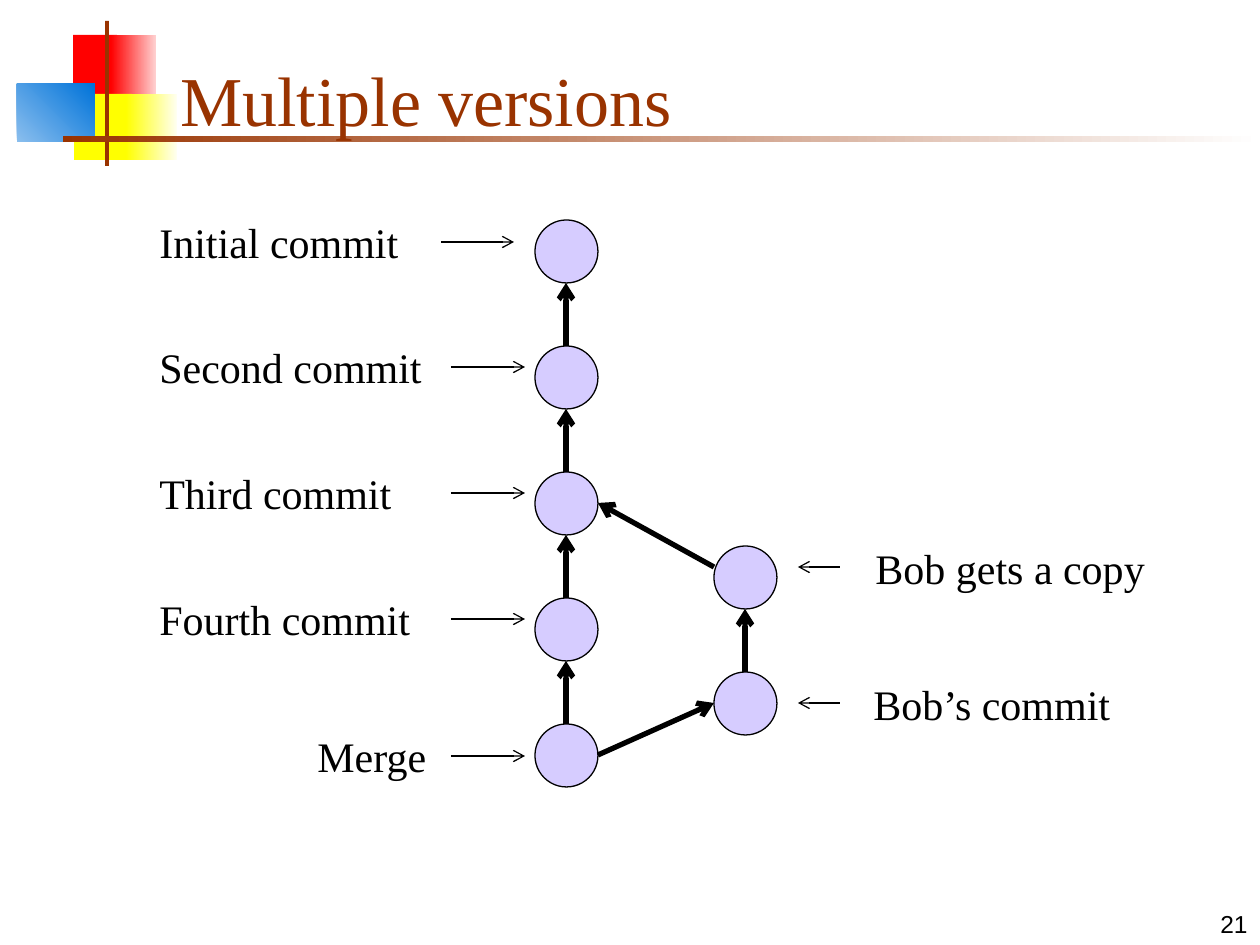
from dataclasses import dataclass
from itertools import pairwise

from lxml.etree import SubElement
from pptx import Presentation
from pptx.dml.color import RGBColor
from pptx.enum.shapes import MSO_CONNECTOR, MSO_SHAPE
from pptx.enum.text import MSO_ANCHOR, MSO_AUTO_SIZE, PP_ALIGN
from pptx.oxml.ns import qn
from pptx.slide import Slide
from pptx.util import Emu, Pt

EMU_PER_PX = 914400 / 126
CIRCLE = 63
PITCH = 126
MAIN_X, BOB_X = 535, 714
MAIN_TOP, BOB_TOP = 220, 546

COLORS = {
    "red": "FF0000", "pale_red": "FFD1D1",
    "yellow": "FFFF00", "pale_yellow": "FFFFF0",
    "light_blue": "8BBFEE", "blue": "0073D9",
    "brown": "993300", "white": "FFFFFF",
    "commit": "D6CCFF", "ink": "000000",
}
TITLE = {"name": "Times New Roman", "size": Pt(40)}
LABEL = {"name": "Times New Roman", "size": Pt(24)}
NUMBER = {"name": "Arial", "size": Pt(14)}
FIXED = {"word_wrap": True, "vertical_anchor": MSO_ANCHOR.BOTTOM}
GROWING = {"word_wrap": True, "auto_size": MSO_AUTO_SIZE.SHAPE_TO_FIT_TEXT}
UNWRAPPED = {**GROWING, "word_wrap": False}


@dataclass(frozen=True)
class Band:
    left: int
    top: int
    width: int
    height: int
    color: str
    fade_to: str = ""
    angle: int = 0


@dataclass(frozen=True)
class Commit:
    left: int
    top: int

    @property
    def center_x(self) -> int:
        return self.left + CIRCLE // 2

    @property
    def middle_y(self) -> int:
        return self.top + CIRCLE // 2

    @property
    def right(self) -> int:
        return self.left + CIRCLE

    @property
    def bottom(self) -> int:
        return self.top + CIRCLE


@dataclass(frozen=True)
class Caption:
    text: str
    left: int
    top: int
    width: int
    pointer_start: int
    pointer_end: int
    pointer_y: int
    frame: dict


BANDS = [
    Band(73, 35, 44, 66, "red"),
    Band(111, 35, 45, 66, "red", "pale_red"),
    Band(74, 94, 58, 66, "yellow"),
    Band(126, 94, 51, 66, "yellow", "pale_yellow"),
    Band(17, 84, 78, 58, "light_blue", "blue", 45),
    Band(105, 21, 4, 145, "brown"),
    Band(63, 136, 1197, 6, "brown", "white"),
]
MAIN_LINE = [Commit(MAIN_X, MAIN_TOP + PITCH * step) for step in range(5)]
BOB_LINE = [Commit(BOB_X, BOB_TOP + PITCH * step) for step in range(2)]
CAPTIONS = [
    Caption("Initial commit", 147, 210, 294, 441, 514, 242, GROWING),
    *(
        Caption(text, 147, 209 + PITCH * step, 305, 451, 525, 241 + PITCH * step, GROWING)
        for step, text in enumerate(["Second commit", "Third commit", "Fourth commit"], 1)
    ),
    Caption("Merge", 305, 724, 147, 451, 525, 756, GROWING),
    Caption("Bob gets a copy", 863, 536, 295, 840, 798, 567, UNWRAPPED),
    Caption("Bob’s commit", 861, 672, 265, 840, 798, 703, UNWRAPPED),
]


def px(length: int) -> Emu:
    return Emu(round(length * EMU_PER_PX))


def rgb(color: str) -> RGBColor:
    return RGBColor.from_string(COLORS[color])


def draw_band(slide: Slide, band: Band) -> None:
    block = slide.shapes.add_shape(
        MSO_SHAPE.RECTANGLE, px(band.left), px(band.top), px(band.width), px(band.height)
    )
    block.shadow.inherit = False
    block.line.fill.background()
    if band.fade_to:
        block.fill.gradient()
        block.fill.gradient_angle = band.angle
        for stop, color in zip(block.fill.gradient_stops, (band.color, band.fade_to)):
            stop.color.rgb = rgb(color)
    else:
        block.fill.solid()
        block.fill.fore_color.rgb = rgb(band.color)


def draw_commit(slide: Slide, commit: Commit) -> None:
    circle = slide.shapes.add_shape(
        MSO_SHAPE.OVAL, px(commit.left), px(commit.top), px(CIRCLE), px(CIRCLE)
    )
    circle.shadow.inherit = False
    circle.fill.solid()
    circle.fill.fore_color.rgb = rgb("commit")
    circle.line.color.rgb = rgb("ink")
    circle.line.width = Pt(0.75)


def draw_arrow(
    slide: Slide, start: tuple[int, int], end: tuple[int, int], weight: float
) -> None:
    arrow = slide.shapes.add_connector(
        MSO_CONNECTOR.STRAIGHT, *(px(value) for value in (*start, *end))
    )
    arrow.line.color.rgb = rgb("ink")
    arrow.line.width = Pt(weight)
    SubElement(arrow.line._get_or_add_ln(), qn("a:tailEnd"), type="arrow")
    SubElement(arrow._element.spPr, qn("a:effectLst"))


def draw_text(
    slide: Slide, text: str, box: tuple[int, int, int, int], frame_format: dict,
    font_format: dict, color: str = "ink", align: PP_ALIGN = PP_ALIGN.LEFT,
) -> None:
    frame = slide.shapes.add_textbox(*(px(value) for value in box)).text_frame
    paragraph = frame.paragraphs[0]
    paragraph.alignment = align
    run = paragraph.add_run()
    run.text = text
    run.font.color.rgb = rgb(color)
    for target, values in ((frame, frame_format), (run.font, font_format)):
        for attribute, value in values.items():
            setattr(target, attribute, value)


def draw_caption(slide: Slide, caption: Caption) -> None:
    box = (caption.left, caption.top, caption.width, 63)
    draw_text(slide, caption.text, box, caption.frame, LABEL)
    draw_arrow(
        slide,
        (caption.pointer_start, caption.pointer_y),
        (caption.pointer_end, caption.pointer_y),
        0.75,
    )


def main() -> None:
    deck = Presentation()
    deck.slide_width, deck.slide_height = px(1260), px(945)
    slide = deck.slides.add_slide(deck.slide_layouts[6])

    for band in BANDS:
        draw_band(slide, band)
    draw_text(slide, "Multiple versions", (168, 32, 1074, 115), FIXED, TITLE, "brown")
    draw_text(slide, "21", (998, 882, 262, 63), FIXED, NUMBER, align=PP_ALIGN.RIGHT)

    for commit in MAIN_LINE + BOB_LINE:
        draw_commit(slide, commit)
    for parent, child in [*pairwise(MAIN_LINE), *pairwise(BOB_LINE)]:
        draw_arrow(slide, (child.center_x, child.top), (parent.center_x, parent.bottom), 3)

    third, merge = MAIN_LINE[2], MAIN_LINE[4]
    bob_copy, bob_commit = BOB_LINE
    draw_arrow(slide, (bob_copy.left, 567), (third.right, third.middle_y), 3)
    draw_arrow(slide, (merge.right, merge.middle_y), (bob_commit.left, bob_commit.middle_y), 3)

    for caption in CAPTIONS:
        draw_caption(slide, caption)
    deck.save("out.pptx")


if __name__ == "__main__":
    main()
